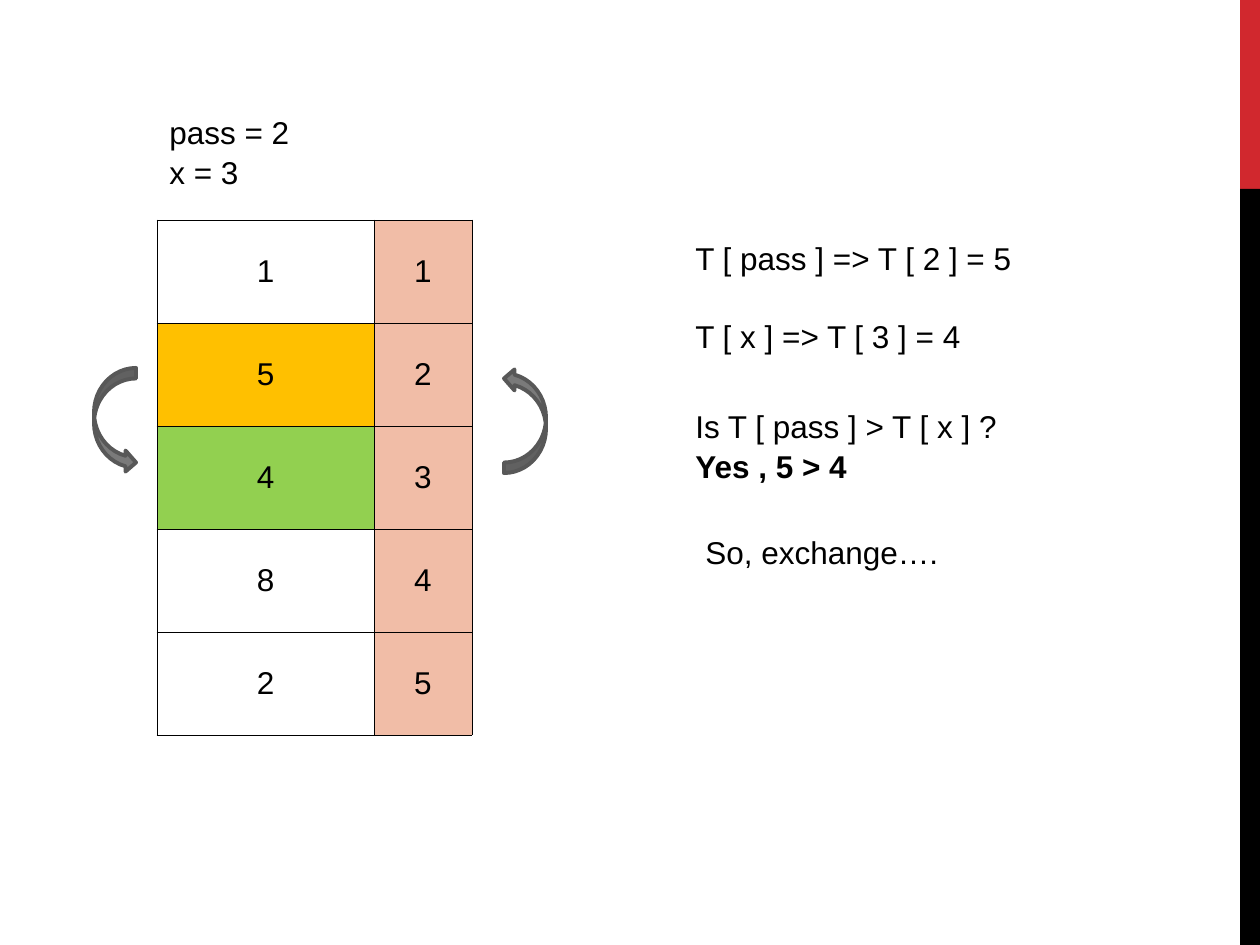
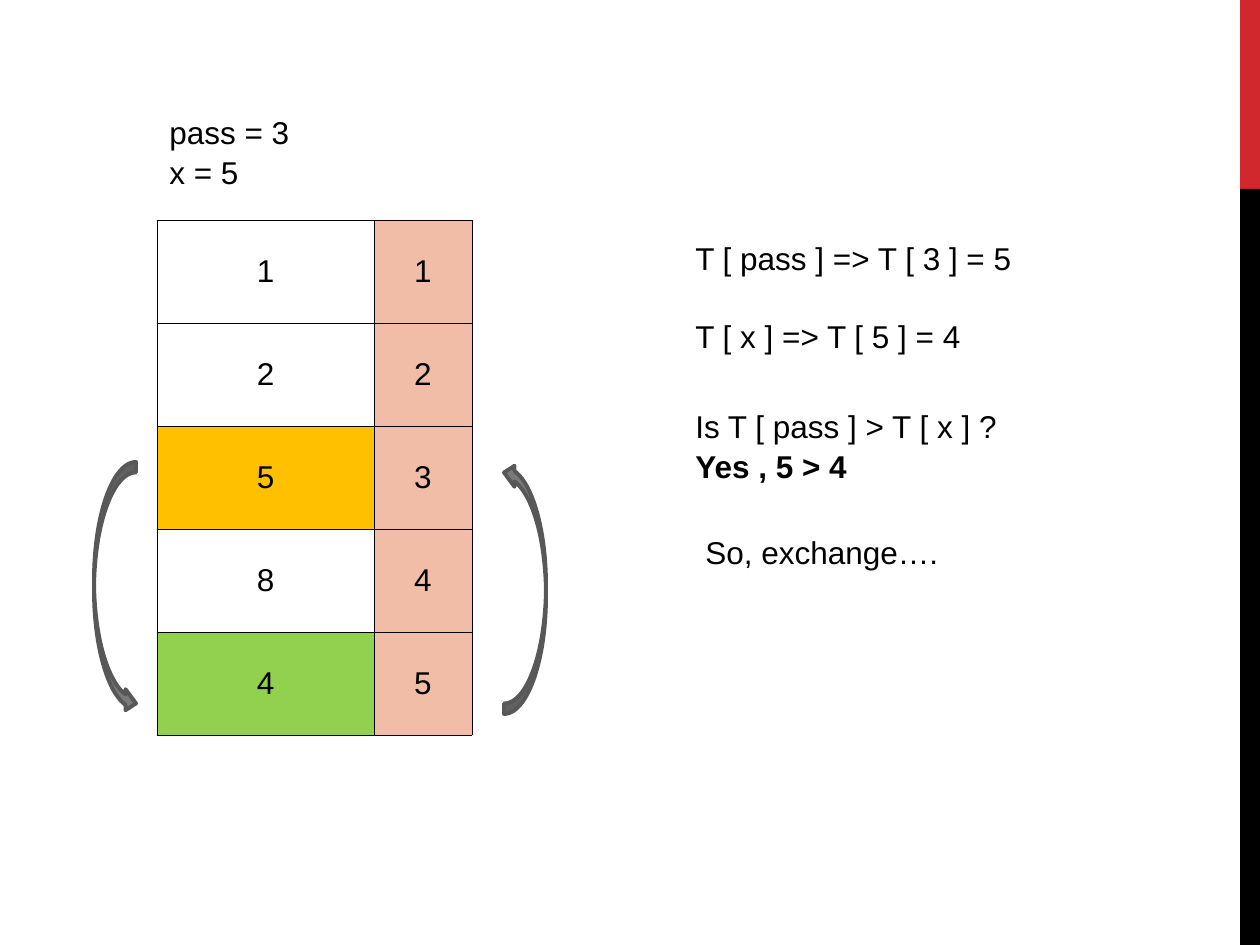
"""Build two slides that trace exchange steps of a sort on the array T."""
from dataclasses import dataclass

from lxml.etree import SubElement
from pptx import Presentation
from pptx.dml.color import RGBColor as RGB
from pptx.enum.shapes import MSO_SHAPE as SHAPE
from pptx.enum.text import MSO_ANCHOR as ANCHOR, MSO_AUTO_SIZE as AUTO, PP_ALIGN as ALIGN
from pptx.oxml.ns import qn
from pptx.util import Emu, Pt


@dataclass(frozen=True)
class Theme:
    font: str = "Arial"
    size: float = 18
    leading: float = 1.05
    gap: float = 21.6
    border: float = 0.45
    outline: float = 2.25
    text: str = "000000"
    red: str = "D1282E"
    black: str = "000000"
    index: str = "F1BDA7"
    passed: str = "FFC000"
    compared: str = "92D050"
    arrow: str = "7A7A7A"
    arrow_line: str = "585858"


theme = Theme()


def px(n):
    return Emu(round(n * 914400 / 126))


def add_run(p, text, bold=False):
    r = p.add_run()
    r.text = text
    r.font.name = theme.font
    r.font.size = Pt(theme.size)
    r.font.bold = bold
    r.font.color.rgb = RGB.from_string(theme.text)


prs = Presentation()
prs.slide_width, prs.slide_height = px(1260), px(945)
layout = prs.slide_layouts[6]

steps = [
    ([1, 5, 4, 8, 2], 2, 3, 368, 105),
    ([1, 2, 5, 8, 4], 3, 5, 462, 252),
]

for step, (values, pass_no, x, arrow_top, arrow_height) in enumerate(steps):
    s = prs.slides.add_slide(layout)

    if step == 0:
        for top, height, color in [(0, 189, theme.red), (189, 756, theme.black)]:
            band = s.shapes.add_shape(SHAPE.RECTANGLE, px(1240), px(top), px(20), px(height))
            band.shadow.inherit = False
            band.fill.solid()
            band.fill.fore_color.rgb = RGB.from_string(color)
            band.line.fill.background()
            layout.shapes.element.append(band.element)

    table = s.shapes.add_table(5, 2, px(157), px(220), px(315), px(515)).table
    table.first_row = table.horz_banding = False
    table.columns[0].width, table.columns[1].width = px(217), px(98)
    marks = {pass_no: theme.passed, x: theme.compared}
    for i, value in enumerate(values, 1):
        table.rows[i - 1].height = px(103)
        for col, (number, color) in enumerate([(value, marks.get(i)), (i, theme.index)]):
            cell = table.cell(i - 1, col)
            cell.vertical_anchor = ANCHOR.MIDDLE
            p = cell.text_frame.paragraphs[0]
            p.alignment = ALIGN.CENTER
            add_run(p, str(number))
            tcPr = cell._tc.get_or_add_tcPr()
            for side in ("a:lnL", "a:lnR", "a:lnT", "a:lnB"):
                ln = SubElement(tcPr, qn(side), w=str(Pt(theme.border)))
                SubElement(SubElement(ln, qn("a:solidFill")), qn("a:srgbClr"), val=theme.black)
            if color:
                cell.fill.solid()
                cell.fill.fore_color.rgb = RGB.from_string(color)
            else:
                cell.fill.background()

    a, b = values[pass_no - 1], values[x - 1]
    notes = [
        (157, 105, 231, 88, 0, [(f"pass = {pass_no}", False), (f"x = {x}", False)]),
        (683, 231, 451, 126, theme.gap,
         [(f"T [ pass ] => T [ {pass_no} ] = {a}", False), (f"T [ x ] => T [ {x} ] = {b}", False)]),
        (683, 399, 431, 88, 0, [("Is T [ pass ] > T [ x ] ?", False), (f"Yes , {a} > {b}", True)]),
        (693, 525, 399, 50, 0, [("So, exchange….", False)]),
    ]
    for left, top, width, height, gap, lines in notes:
        tf = s.shapes.add_textbox(px(left), px(top), px(width), px(height)).text_frame
        tf.word_wrap = True
        tf.auto_size = AUTO.SHAPE_TO_FIT_TEXT
        for n, (text, bold) in enumerate(lines):
            p = tf.add_paragraph() if n else tf.paragraphs[0]
            p.line_spacing = theme.leading
            p.space_before = Pt(gap if n else 0)
            add_run(p, text, bold)

    for left, rotation in [(94, 0), (504, 180)]:
        arrow = s.shapes.add_shape(
            SHAPE.CURVED_RIGHT_ARROW, px(left), px(arrow_top), px(42), px(arrow_height))
        arrow.rotation = rotation
        arrow.shadow.inherit = False
        arrow.fill.solid()
        arrow.fill.fore_color.rgb = RGB.from_string(theme.arrow)
        arrow.line.color.rgb = RGB.from_string(theme.arrow_line)
        arrow.line.width = Pt(theme.outline)

prs.save("out.pptx")
